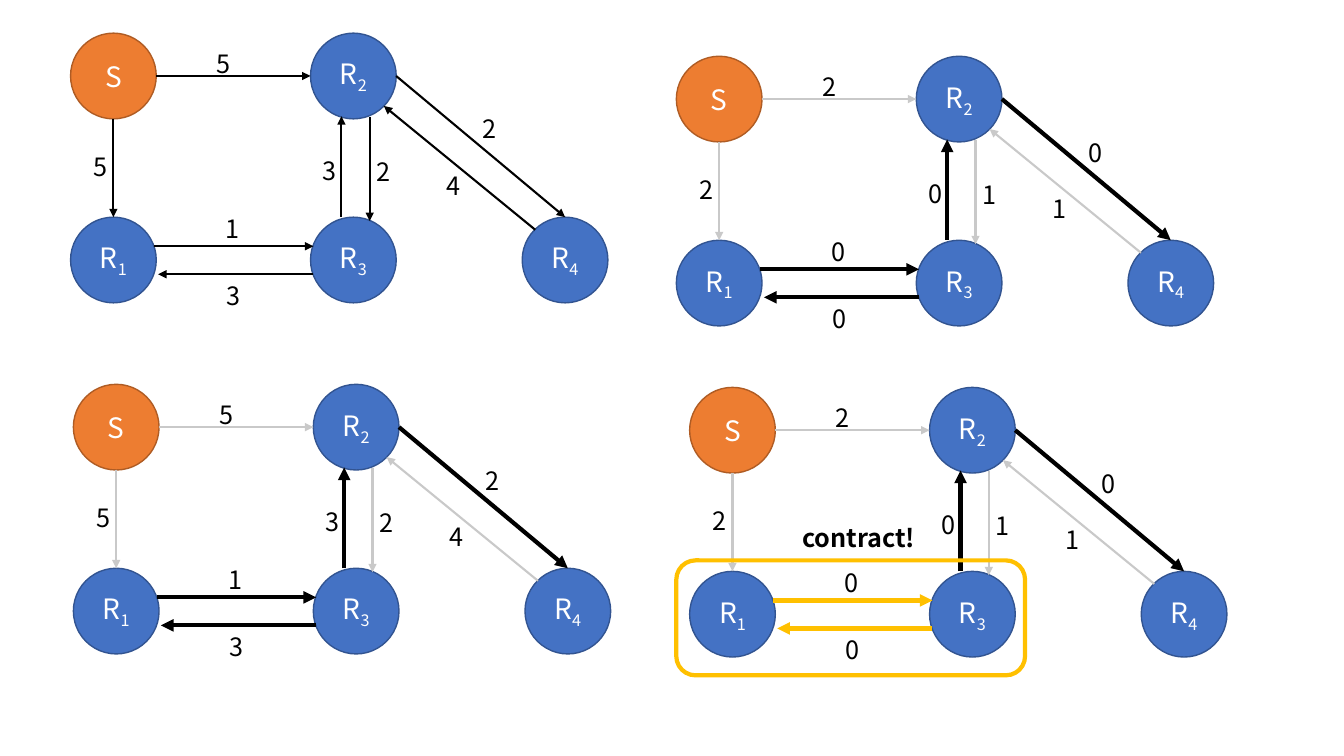
from dataclasses import dataclass

from lxml import etree
from pptx import Presentation
from pptx import util as u
from pptx.dml.color import RGBColor
from pptx.enum import shapes, text
from pptx.oxml.ns import qn


@dataclass(frozen=True)
class Theme:
    """Colours, type sizes and line widths of the slide."""
    font: str = "Noto Sans CJK JP"
    source: tuple = ("ED7D31", "AF5C24")
    router: tuple = ("4472C4", "325491")
    on_node: str = "FFFFFF"
    ink: str = "000000"
    muted: str = "C9C9C9"
    highlight: str = "FFC000"
    node_size: float = 20
    label_size: float = 18
    outline: float = 1
    thin: float = 1.5
    thick: float = 3


THEME = Theme()
PLAIN = (THEME.ink, THEME.thin)
FADED = (THEME.muted, THEME.thin)
CHOSEN = (THEME.ink, THEME.thick)
CYCLE = (THEME.highlight, THEME.thick)

# Graph geometry, in points from the top left of node S
DIAMETER = 61.2
RADIUS = DIAMETER / 2
COLUMN_2, COLUMN_3, ROW_2 = 171.4, 322.6, 131.4
NODES = {"S": (0, 0), "R1": (0, ROW_2), "R2": (COLUMN_2, 0),
         "R3": (COLUMN_2, ROW_2), "R4": (COLUMN_3, ROW_2)}
# Edge: (start, end, top left of its weight label)
EDGES = {
    "S-R2": ((DIAMETER, RADIUS), (COLUMN_2, RADIUS), (97.2, 7.4)),
    "R3-R2": ((193.5, ROW_2), (193.5, 59.4), (172.8, 83.6)),
    "S-R1": ((RADIUS, DIAMETER), (RADIUS, ROW_2), (9.4, 80.6)),
    "R2-R3": ((213.7, 59.6), (213.7, 134.2), (211.7, 84.3)),
    "R2-R4": ((COLUMN_2 + DIAMETER, RADIUS), (COLUMN_3 + RADIUS, ROW_2), (287.3, 54)),
    "R4-R2": ((331.9, 140.4), (223.8, 52), (261.4, 94.4)),
    "R3-R1": ((173.4, 172.2), (62.6, 172.2), (104.4, 172.8)),
    "R1-R3": ((59.8, 152.2), (173.4, 152.2), (103.7, 125.3)),
}
CHEAPEST = ("R3-R2", "R2-R4", "R3-R1", "R1-R3")
LOOP = ("R3-R1", "R1-R3")

# Weights follow the order of EDGES
GIVEN = (5, 3, 5, 2, 2, 4, 3, 1)
REDUCED = (2, 0, 2, 1, 0, 1, 0, 0)


def style_run(run, size, color, bold=False):
    """Give a run the theme font, a size and a colour."""
    run.font.name = THEME.font
    run.font.size = u.Pt(size)
    run.font.bold = bold
    run.font.color.rgb = RGBColor.from_string(color)


def style_line(line, color, width):
    """Set the colour and the width of a line."""
    line.color.rgb = RGBColor.from_string(color)
    line.width = u.Pt(width)


def add_node(parent, name, left, top):
    """Add a circle whose name has its number as a subscript."""
    fill, outline = THEME.source if name == "S" else THEME.router
    shape = parent.shapes.add_shape(
        shapes.MSO_SHAPE.OVAL, u.Pt(left), u.Pt(top), u.Pt(DIAMETER), u.Pt(DIAMETER))
    shape.shadow.inherit = False
    shape.fill.solid()
    shape.fill.fore_color.rgb = RGBColor.from_string(fill)
    style_line(shape.line, outline, THEME.outline)
    shape.text_frame.vertical_anchor = text.MSO_ANCHOR.MIDDLE
    paragraph = shape.text_frame.paragraphs[0]
    paragraph.alignment = text.PP_ALIGN.CENTER
    for character in name:
        run = paragraph.add_run()
        run.text = character
        style_run(run, THEME.node_size, THEME.on_node)
        if character.isdigit():
            run.font._element.set("baseline", "-25000")


def add_arrow(parent, start, end, color, width):
    """Add a straight line with a triangular head at its end."""
    arrow = parent.shapes.add_connector(
        shapes.MSO_CONNECTOR.STRAIGHT, *(u.Pt(value) for value in start + end))
    style_line(arrow.line, color, width)
    head = etree.SubElement(arrow.line._get_or_add_ln(), qn("a:tailEnd"))
    head.set("type", "triangle")
    etree.SubElement(arrow._element.spPr, qn("a:effectLst"))


def add_label(parent, wording, left, top, width=15.8, bold=False):
    """Add a one-line text box."""
    box = parent.shapes.add_textbox(u.Pt(left), u.Pt(top), u.Pt(width), u.Pt(29))
    frame = box.text_frame
    frame.word_wrap = True
    frame.auto_size = text.MSO_AUTO_SIZE.SHAPE_TO_FIT_TEXT
    frame.text = wording
    style_run(frame.paragraphs[0].runs[0], THEME.label_size, THEME.ink, bold)


def add_frame(parent, left, top, width, height):
    """Add an unfilled rounded frame in the highlight colour."""
    frame = parent.shapes.add_shape(
        shapes.MSO_SHAPE.ROUNDED_RECTANGLE,
        u.Pt(left), u.Pt(top), u.Pt(width), u.Pt(height))
    frame.shadow.inherit = False
    frame.fill.background()
    style_line(frame.line, THEME.highlight, THEME.thick)


def add_graph(slide, left, top, weights, styles, default):
    """Add one grouped graph; styles maps edges to (colour, width)."""
    def place(point):
        return left + point[0], top + point[1]

    group = slide.shapes.add_group_shape()
    for name, corner in NODES.items():
        add_node(group, name, *place(corner))
    for edge, (start, end, _) in EDGES.items():
        add_arrow(group, place(start), place(end), *styles.get(edge, default))
    for weight, (_, _, corner) in zip(weights, EDGES.values()):
        add_label(group, str(weight), *place(corner))
    return group


def main():
    """Build the slide with four stages of the graph."""
    presentation = Presentation()
    presentation.slide_width, presentation.slide_height = u.Pt(960), u.Pt(540)
    slide = presentation.slides.add_slide(presentation.slide_layouts[6])

    chosen = dict.fromkeys(CHEAPEST, CHOSEN)
    contracted = chosen | dict.fromkeys(LOOP, CYCLE)
    add_graph(slide, 50.4, 23.7, GIVEN, {}, PLAIN)
    add_graph(slide, 52.4, 274.5, GIVEN, chosen, FADED)
    add_graph(slide, 483.1, 40.2, REDUCED, chosen, FADED)
    last_graph = add_graph(slide, 492.6, 276.7, REDUCED, contracted, FADED)
    add_frame(last_graph, 483.1, 400.3, 249.1, 82.1)
    add_label(slide, "contract!", 566, 369.4, width=119.5, bold=True)

    presentation.save("out.pptx")


main()
